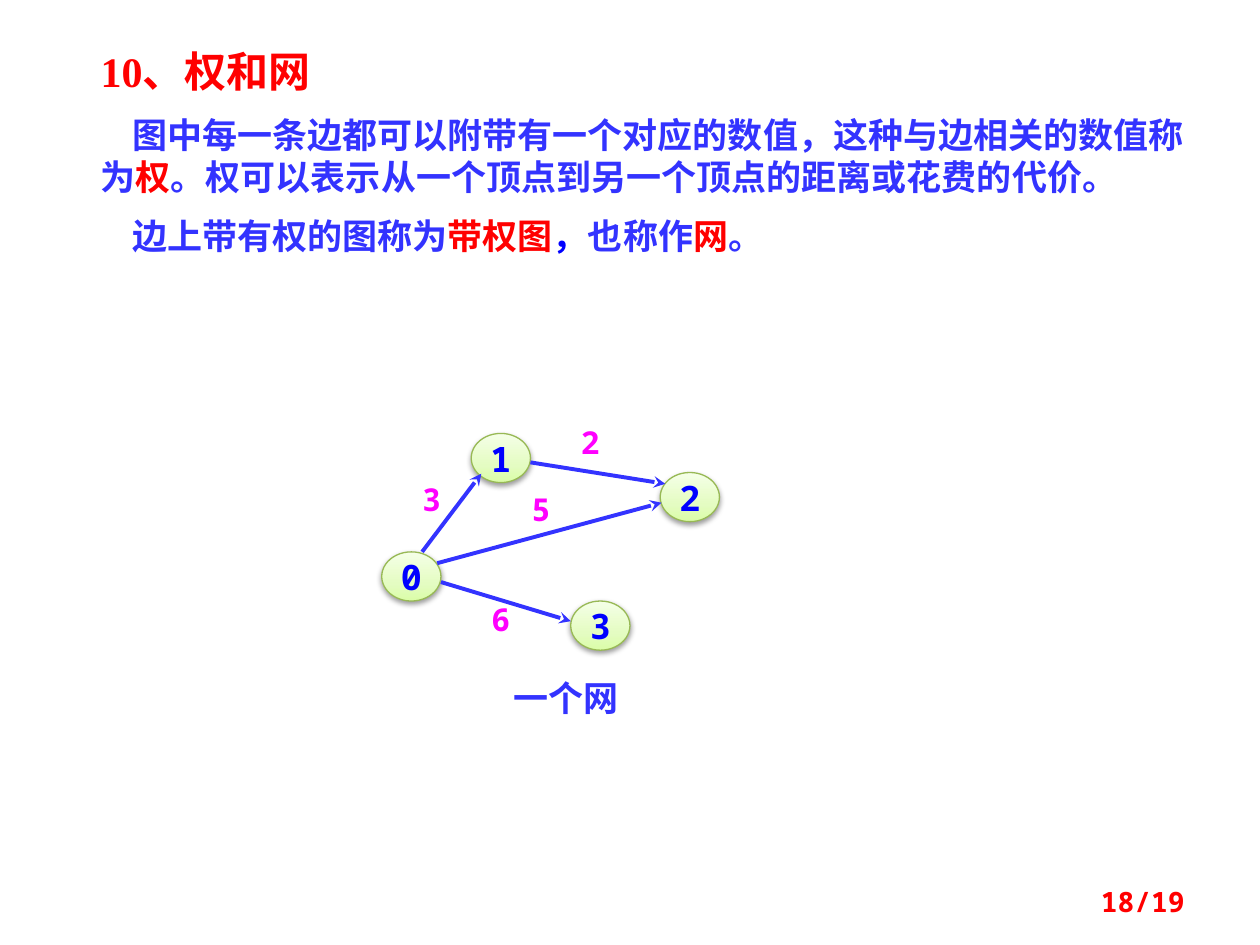
from lxml import etree
from pptx import Presentation
from pptx.dml.color import RGBColor
from pptx.enum.shapes import MSO_CONNECTOR, MSO_SHAPE
from pptx.enum.text import MSO_ANCHOR, PP_ALIGN
from pptx.oxml import parse_xml
from pptx.oxml.ns import qn
from pptx.util import Inches, Pt

ELLIPSE = MSO_SHAPE.OVAL
STRAIGHT = MSO_CONNECTOR.STRAIGHT
MIDDLE = MSO_ANCHOR.MIDDLE
LEFT, CENTER, RIGHT = PP_ALIGN.LEFT, PP_ALIGN.CENTER, PP_ALIGN.RIGHT

THEME = {
    "heading_font": "Times New Roman",
    "font": "Noto Sans Mono",
    "blue": "3333FF",
    "node_text": "0000FF",
    "red": "FF0000",
    "weight": "FF00FF",
    "node_line": "98B955",
    "node_gradient": [(0, "DAFDA7"), (35, "E4FCC2"), (100, "F5FFE7")],
    "heading_size": 24,
    "body_size": 20,
    "weight_size": 18,
    "page_size": 16,
}

HEADING = "10、权和网"
BODY = [
    [
        ("图中每一条边都可以附带有一个对应的数值，这种与边相关的数值称为", "blue"),
        ("权", "red"),
        ("。权可以表示从一个顶点到另一个顶点的距离或花费的代价。", "blue"),
    ],
    [
        ("边上带有权的图称为", "blue"),
        ("带权图", "red"),
        ("，", "node_text"),
        ("也称作", "blue"),
        ("网", "red"),
        ("。", "blue"),
    ],
]
NODE_SIZE = (0.47, 0.39)
NODES = [("1", 3.74, 3.44), ("2", 5.24, 3.75), ("0", 3.03, 4.38), ("3", 4.53, 4.77)]
EDGES = [
    ((3.35, 4.38), (3.82, 3.76)),
    ((3.5, 4.62), (4.53, 4.93)),
    ((3.47, 4.47), (5.25, 3.99)),
    ((4.21, 3.67), (5.28, 3.84)),
]
WEIGHT_SIZE = (0.47, 0.3)
WEIGHTS = [("2", 4.45, 3.36), ("3", 3.19, 3.81), ("5", 4.06, 3.89), ("6", 3.74, 4.76)]
CAPTION = "一个网"
PAGE_NUMBER = "18/19"

DRAWING = "http://schemas.openxmlformats.org/drawingml/2006/main"


def color(name):
    return RGBColor.from_string(THEME[name])


def style(paragraph, size, color_name=None, font="font", align=LEFT):
    paragraph.alignment = align
    paragraph.font.name = THEME[font]
    paragraph.font.size = Pt(THEME[size])
    paragraph.font.bold = True
    if color_name:
        paragraph.font.color.rgb = color(color_name)


def add_text_box(shapes, box, margin=None):
    frame = shapes.add_textbox(*map(Inches, box)).text_frame
    frame.word_wrap = True
    if margin is not None:
        frame.margin_left = frame.margin_right = Inches(margin)
        frame.margin_top = frame.margin_bottom = Inches(margin)
    return frame


def add_label(shapes, box, text, size, color_name, align=CENTER, margin=None):
    frame = add_text_box(shapes, box, margin)
    paragraph = frame.paragraphs[0]
    paragraph.text = text
    style(paragraph, size, color_name, align=align)
    return frame


def add_explanation(shapes):
    frame = add_text_box(shapes, (0.7, 0.31, 8.86, 1.85))
    frame.paragraphs[0].text = HEADING
    style(frame.paragraphs[0], "heading_size", "red", "heading_font")
    for runs in BODY:
        paragraph = frame.add_paragraph()
        paragraph.space_before = Pt(10)
        paragraph._p.get_or_add_pPr().set("indent", str(Inches(0.25)))
        style(paragraph, "body_size")
        for text, color_name in runs:
            run = paragraph.add_run()
            run.text = text
            run.font.color.rgb = color(color_name)


def add_node(shapes, text, left, top):
    shape = shapes.add_shape(ELLIPSE, *map(Inches, (left, top, *NODE_SIZE)))
    stops = "".join(
        f'<a:gs pos="{position * 1000}"><a:srgbClr val="{value}"/></a:gs>'
        for position, value in THEME["node_gradient"]
    )
    gradient = parse_xml(
        f'<a:gradFill xmlns:a="{DRAWING}" rotWithShape="1"><a:gsLst>{stops}</a:gsLst>'
        '<a:lin ang="16200000" scaled="0"/></a:gradFill>'
    )
    shape._element.spPr.find(qn("a:prstGeom")).addnext(gradient)
    shape.line.color.rgb = color("node_line")
    shape.line.width = Pt(0.75)
    shape._element.spPr.append(parse_xml(
        f'<a:effectLst xmlns:a="{DRAWING}">'
        f'<a:outerShdw blurRad="{Pt(3.1)}" dist="{Pt(1.6)}" dir="5400000" rotWithShape="0">'
        '<a:srgbClr val="000000"><a:alpha val="38000"/></a:srgbClr>'
        '</a:outerShdw></a:effectLst>'
    ))
    frame = shape.text_frame
    frame.word_wrap = False
    frame.vertical_anchor = MIDDLE
    frame.paragraphs[0].text = text
    style(frame.paragraphs[0], "body_size", "node_text", align=CENTER)


def add_edge(shapes, start, end):
    connector = shapes.add_connector(STRAIGHT, *map(Inches, (*start, *end)))
    connector.line.color.rgb = color("blue")
    connector.line.width = Pt(2.25)
    line = connector.line._get_or_add_ln()
    etree.SubElement(line, qn("a:tailEnd"), type="stealth")
    etree.SubElement(connector._element.spPr, qn("a:effectLst"))


def main():
    presentation = Presentation()
    presentation.slide_width = Inches(10)
    presentation.slide_height = Inches(7.5)
    slide = presentation.slides.add_slide(presentation.slide_layouts[6])
    add_explanation(slide.shapes)

    graph = slide.shapes.add_group_shape().shapes
    for node in NODES:
        add_node(graph, *node)
    for edge in EDGES:
        add_edge(graph, *edge)
    for text, left, top in WEIGHTS:
        add_label(graph, (left, top, *WEIGHT_SIZE), text, "weight_size", "weight", margin=0)
    add_label(graph, (3.43, 5.32, 2.13, 0.44), CAPTION, "body_size", "blue")

    page = add_label(slide.shapes, (7.17, 6.95, 2.33, 0.4), PAGE_NUMBER, "page_size", "red", RIGHT)
    page.vertical_anchor = MIDDLE
    presentation.save("out.pptx")


if __name__ == "__main__":
    main()
